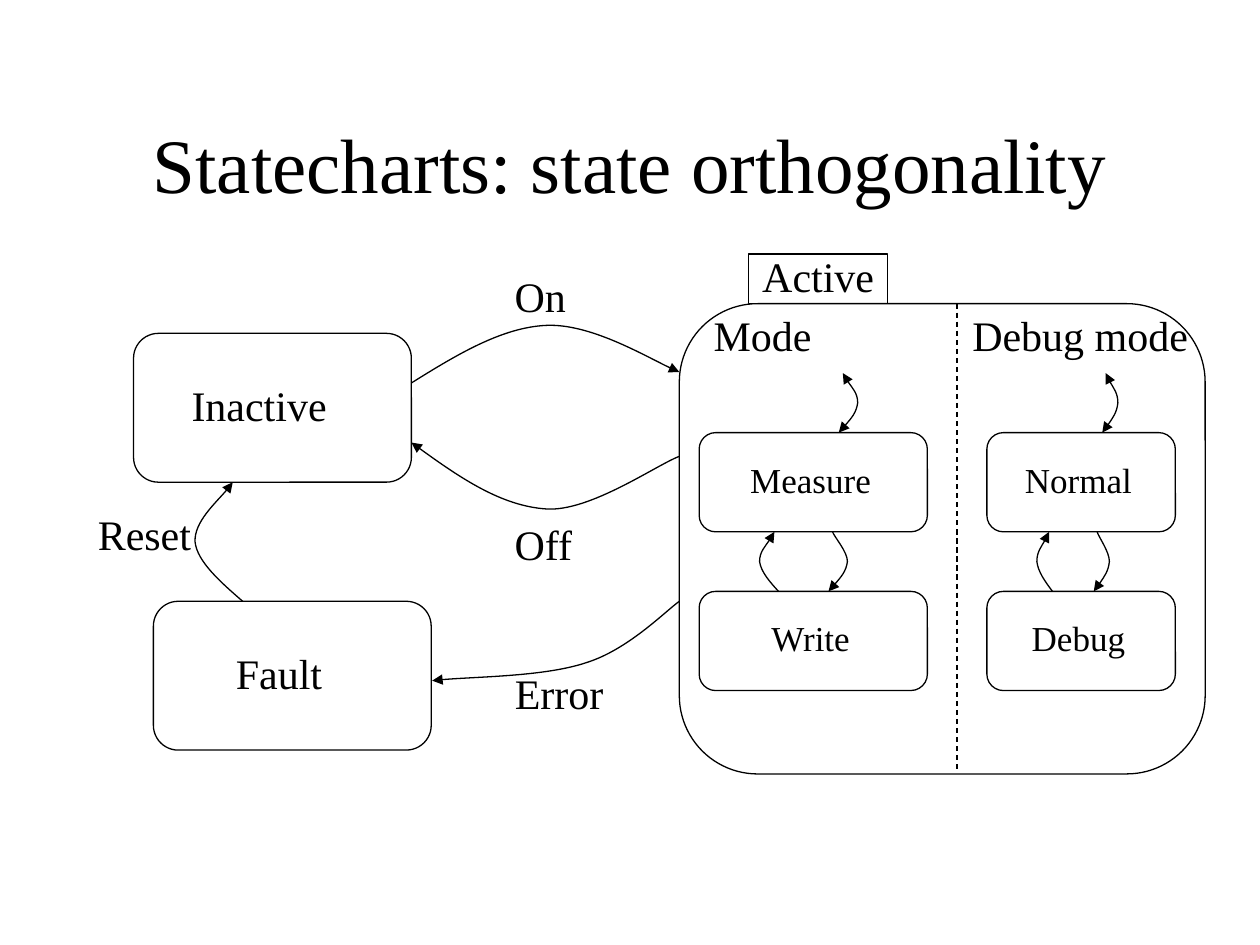
from lxml.etree import SubElement
from pptx import Presentation
from pptx.dml.color import RGBColor
from pptx.enum.dml import MSO_LINE
from pptx.enum.shapes import MSO_CONNECTOR, MSO_SHAPE
from pptx.enum.text import MSO_ANCHOR, MSO_AUTO_SIZE, PP_ALIGN
from pptx.oxml.ns import qn
from pptx.util import Inches, Pt

INK = "000000"
UNIT, LEFT, TOP = 0.1575, 1.06, 2.41
STATE_ROWS = (6.5, 14.5)
BEND = ((0, 0), (0.04, 0.5), (0.077, 1), (0.083, 1.5),
        (0.083, 2), (0.028, 2.7), (0.018, 3))
REGIONS = [
    (28.5, 11.5, ("Measure", "Write")),
    (43, 9.5, ("Normal", "Debug")),
]
LABELS = [
    ("On", 18.5, -2, 4),
    ("Off", 18.5, 10.5, 4.3),
    ("Error", 18.5, 18, 5.9),
    ("Reset", -2.5, 10, 6.1),
    ("Mode", 28.5, 0, 6.4),
    ("Debug mode", 41.5, 0, 12.4),
]
ON = [(14, 4), (16.25, 2.6), (18.55, 1.2), (20.8, 1.1),
      (23, 1), (26.4, 3), (27.5, 3.45)]
OFF = [(14, 7), (16.25, 8.65), (18.55, 10.2), (20.8, 10.35),
       (23, 10.5), (26.4, 8.1), (27.5, 7.7)]
RESET = [(5.5, 15), (4.4, 14.05), (3.2, 13), (3.1, 12),
         (3.05, 11), (4.7, 9.5), (5, 9)]
ERROR = [(27.5, 15), (26.75, 15.55), (24.9, 17.45), (22.8, 18.1),
         (20.7, 18.8), (16.65, 18.8), (15.05, 19)]


def color(hex_code):
    """Turn a hex string into a colour."""
    return RGBColor.from_string(hex_code)


def place(column, row):
    """Convert a grid position to slide coordinates."""
    return Inches(LEFT + column * UNIT), Inches(TOP + row * UNIT)


def span(units):
    """Convert a number of grid units to a length."""
    return Inches(units * UNIT)


def write(frame, wording, size):
    """Put one centred paragraph in a text frame."""
    frame.text = wording
    paragraph = frame.paragraphs[0]
    paragraph.alignment = PP_ALIGN.CENTER
    paragraph.font.size = Pt(size)
    paragraph.font.name = "Times New Roman"
    paragraph.font.color.rgb = color(INK)


def outline(part):
    """Give a part the thin diagram line."""
    part.line.color.rgb = color(INK)
    part.line.width = Pt(0.75)


def add_state(slide, column, row, width, height, name="", size=24,
              right_inset=0.1, preset=MSO_SHAPE.ROUNDED_RECTANGLE):
    """Draw an unfilled state box with its name inside."""
    state = slide.shapes.add_shape(
        preset, *place(column, row), span(width), span(height))
    state.shadow.inherit = False
    state.fill.background()
    outline(state)
    if name:
        frame = state.text_frame
        frame.word_wrap = False
        frame.vertical_anchor = MSO_ANCHOR.MIDDLE
        frame.margin_right = Inches(right_inset)
        frame.margin_top, frame.margin_bottom = Inches(0.03), Inches(0.08)
        write(frame, name, size)


def add_label(slide, wording, column, row, width):
    """Write a free-standing label on the grid."""
    label = slide.shapes.add_textbox(
        *place(column, row), span(width), Inches(0.5))
    label.text_frame.word_wrap = False
    label.text_frame.auto_size = MSO_AUTO_SIZE.NONE
    write(label.text_frame, wording, 24)


def add_transition(slide, points, ends=("tailEnd",)):
    """Draw a Bezier curve through grid points with arrowheads."""
    corners = [place(*point) for point in points]
    builder = slide.shapes.build_freeform(*corners[0])
    builder.add_line_segments(corners[1:], close=False)
    curve = builder.convert_to_shape()
    curve.shadow.inherit = False
    curve.fill.background()
    outline(curve)
    track = curve._element.find(".//" + qn("a:path"))
    segments = track.findall(qn("a:lnTo"))
    for first in range(0, len(segments), 3):
        bezier = SubElement(track, qn("a:cubicBezTo"))
        for segment in segments[first:first + 3]:
            bezier.append(segment[0])
            track.remove(segment)
    stroke = curve._element.spPr.find(qn("a:ln"))
    for end in ends:
        SubElement(stroke, qn("a:" + end), type="triangle")


def add_region(slide, column, width, names):
    """Draw one orthogonal region with two states and its transitions."""
    for name, row in zip(names, STATE_ROWS):
        add_state(slide, column, row, width, 5, name, 20, 0.14)
    upper, lower = STATE_ROWS
    for start, side, bottom, ends in (
            (0.348, -1, lower, ("tailEnd",)),
            (0.567, 1, lower, ("headEnd",)),
            (0.612, 1, upper, ("headEnd", "tailEnd"))):
        points = [(column + width * (start + side * shift), bottom - rise)
                  for shift, rise in BEND]
        add_transition(slide, points, ends)


def add_divider(slide):
    """Draw the dashed line between the regions."""
    divider = slide.shapes.add_connector(
        MSO_CONNECTOR.STRAIGHT, *place(41.5, 0), *place(41.5, 23.5))
    outline(divider)
    divider.line.dash_style = MSO_LINE.DASH
    SubElement(divider._element.spPr, qn("a:effectLst"))


def add_title(slide, wording):
    """Fill and place the title placeholder."""
    title = slide.shapes.title
    title.left, title.top = Inches(0.75), Inches(0.67)
    title.width, title.height = Inches(8.5), Inches(1.25)
    title.text_frame.vertical_anchor = MSO_ANCHOR.MIDDLE
    write(title.text_frame, wording, 44)


def main():
    """Build the statechart slide."""
    deck = Presentation()
    deck.slide_width, deck.slide_height = Inches(10), Inches(7.5)
    slide = deck.slides.add_slide(deck.slide_layouts[5])
    add_title(slide, "Statecharts: state orthogonality")
    add_state(slide, 0, 1.5, 14, 7.5, "Inactive", right_inset=0.31)
    add_state(slide, 1, 15, 14, 7.5, "Fault", right_inset=0.31)
    add_state(slide, 27.5, 0, 26.5, 23.7)
    add_state(slide, 31, -2.5, 7, 2.5, "Active", preset=MSO_SHAPE.RECTANGLE)
    add_divider(slide)
    add_transition(slide, ON)
    add_transition(slide, OFF, ("headEnd",))
    add_transition(slide, RESET)
    add_transition(slide, ERROR)
    for region in REGIONS:
        add_region(slide, *region)
    for label in LABELS:
        add_label(slide, *label)
    deck.save("out.pptx")


if __name__ == "__main__":
    main()
